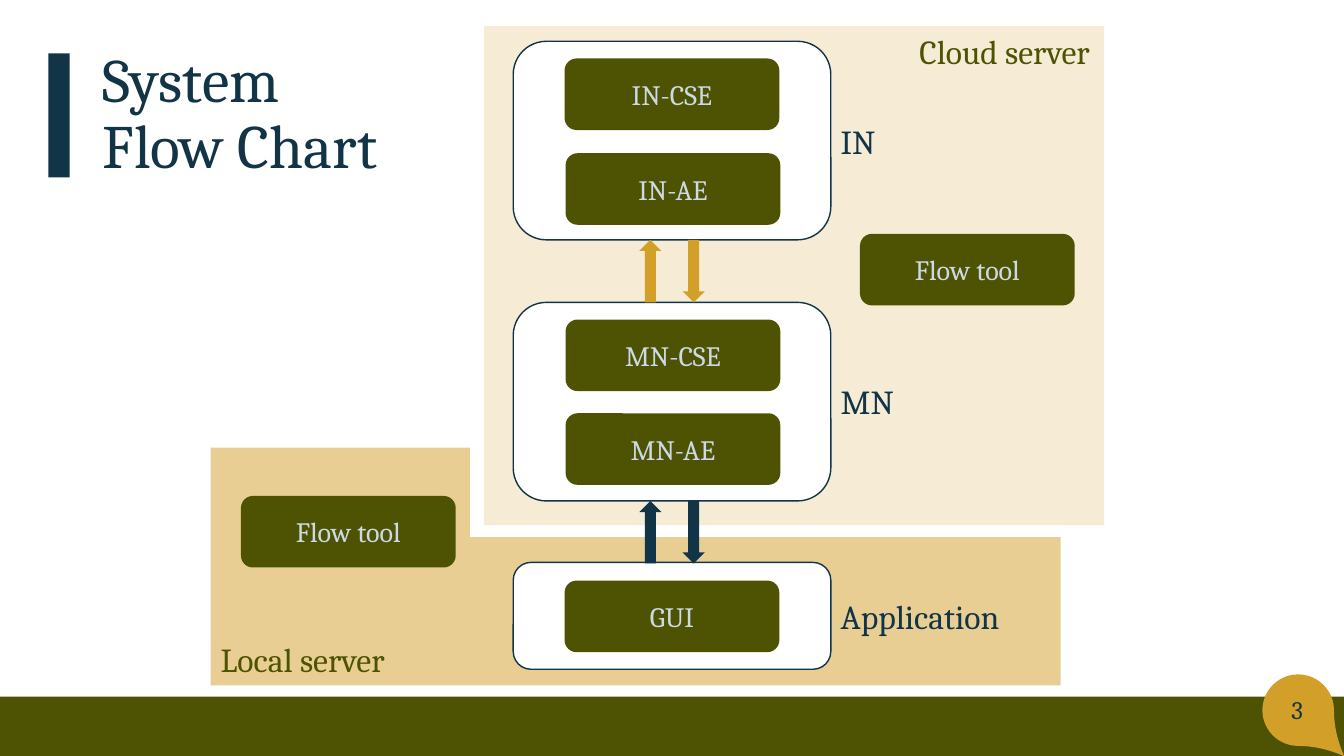
import pptx
import pptx.dml.color
import pptx.enum.shapes
import pptx.enum.text
import pptx.oxml.ns
import pptx.util
from lxml import etree

Inches = pptx.util.Inches
MSO = pptx.enum.shapes.MSO_SHAPE
ALIGN = pptx.enum.text.PP_ALIGN
ANCHOR = pptx.enum.text.MSO_ANCHOR

COLORS = {"navy": "113546", "olive": "4D5302", "gold": "D29F29",
          "white": "FFFFFF", "pale": "CDDAE3"}
RGB = {name: pptx.dml.color.RGBColor.from_string(c) for name, c in COLORS.items()}

prs = pptx.Presentation()
prs.slide_width, prs.slide_height = Inches(13.33), Inches(7.5)
s = prs.slides.add_slide(prs.slide_layouts[6])


def paint(sp, fill, line=None, alpha=None):
    """Set flat fill, optional 1 pt outline and optional opacity in percent."""
    sp.shadow.inherit = False
    sp.fill.solid()
    sp.fill.fore_color.rgb = RGB[fill]
    if alpha:
        clr = sp.element.spPr.find(".//" + pptx.oxml.ns.qn("a:srgbClr"))
        etree.SubElement(clr, pptx.oxml.ns.qn("a:alpha"), val=str(alpha * 1000))
    if line:
        sp.line.color.rgb = RGB[line]
        sp.line.width = pptx.util.Pt(1)
    else:
        sp.line.fill.background()
    return sp


def add_run(p, text, size, color):
    r = p.add_run()
    r.text = text
    r.font.name = "Cambria"
    r.font.size = pptx.util.Pt(size)
    r.font.color.rgb = RGB[color]


# Server areas
cloud = s.shapes.add_shape(MSO.RECTANGLE, Inches(4.8), Inches(0.26), Inches(6.15), Inches(4.95))
paint(cloud, "gold", alpha=20)

outline = [(2.09, 4.44), (4.66, 4.44), (4.66, 5.33), (10.52, 5.33), (10.52, 6.8), (2.09, 6.8)]
points = [(Inches(x), Inches(y)) for x, y in outline]
builder = s.shapes.build_freeform(*points[0])
builder.add_line_segments(points[1:], close=True)
paint(builder.convert_to_shape(), "gold", alpha=50)

# Node frames
for y, h in [(5.58, 1.06), (3, 1.97), (0.41, 1.97)]:
    frame = s.shapes.add_shape(MSO.ROUNDED_RECTANGLE, Inches(5.09), Inches(y), Inches(3.15), Inches(h))
    paint(frame, "white", line="navy")

# Components
components = [("GUI", 5.6, 5.76), ("Flow tool", 2.39, 4.92), ("MN-CSE", 5.61, 3.17),
              ("MN-AE", 5.61, 4.1), ("IN-CSE", 5.6, 0.58), ("IN-AE", 5.61, 1.52),
              ("Flow tool", 8.53, 2.32)]
for text, x, y in components:
    sp = s.shapes.add_shape(MSO.ROUNDED_RECTANGLE, Inches(x), Inches(y), Inches(2.13), Inches(0.71))
    paint(sp, "olive")
    tf = sp.text_frame
    tf.vertical_anchor = ANCHOR.MIDDLE
    p = tf.paragraphs[0]
    p.alignment = ALIGN.CENTER
    add_run(p, text, 20, "pale")

# Title, accent bar and footer
title = s.shapes.add_textbox(Inches(0.92), Inches(0.42), Inches(11.5), Inches(1.45))
tf = title.text_frame
tf.word_wrap = True
tf.vertical_anchor = ANCHOR.MIDDLE
p = tf.paragraphs[0]
p.line_spacing = 0.9
add_run(p, "System", 44, "navy")
p.add_line_break()
add_run(p, "Flow Chart", 44, "navy")

for x, y, w, h, color in [(0, 6.91, 13.33, 0.59, "olive"), (0.48, 0.53, 0.21, 1.23, "navy")]:
    bar = s.shapes.add_shape(MSO.RECTANGLE, Inches(x), Inches(y), Inches(w), Inches(h))
    paint(bar, color)

badge = s.shapes.add_shape(MSO.TEAR, Inches(12.52), Inches(6.69), Inches(0.71), Inches(0.71))
badge.adjustments[0] = 1.29
badge.rotation = 90
paint(badge, "gold")

# Arrow pairs between frames
for y, color in [(4.97, "navy"), (2.38, "gold")]:
    for x, kind in [(6.34, MSO.UP_ARROW), (6.77, MSO.DOWN_ARROW)]:
        arrow = s.shapes.add_shape(kind, Inches(x), Inches(y), Inches(0.22), Inches(0.62))
        paint(arrow, color)

# Labels
labels = [("Application", 8.24, 5.86, 1.79, 0.5, 24, "navy"),
          ("MN", 8.24, 3.73, 0.75, 0.5, 24, "navy"),
          ("IN", 8.24, 1.15, 0.56, 0.5, 24, "navy"),
          ("3", 12.71, 6.84, 0.33, 0.4, 18, "navy"),
          ("Local server", 2.09, 6.29, 1.87, 0.5, 24, "olive"),
          ("Cloud server", 9.02, 0.26, 1.93, 0.5, 24, "olive")]
for text, x, y, w, h, size, color in labels:
    tf = s.shapes.add_textbox(Inches(x), Inches(y), Inches(w), Inches(h)).text_frame
    tf.word_wrap = False
    tf.auto_size = pptx.enum.text.MSO_AUTO_SIZE.SHAPE_TO_FIT_TEXT
    add_run(tf.paragraphs[0], text, size, color)

prs.save("out.pptx")
